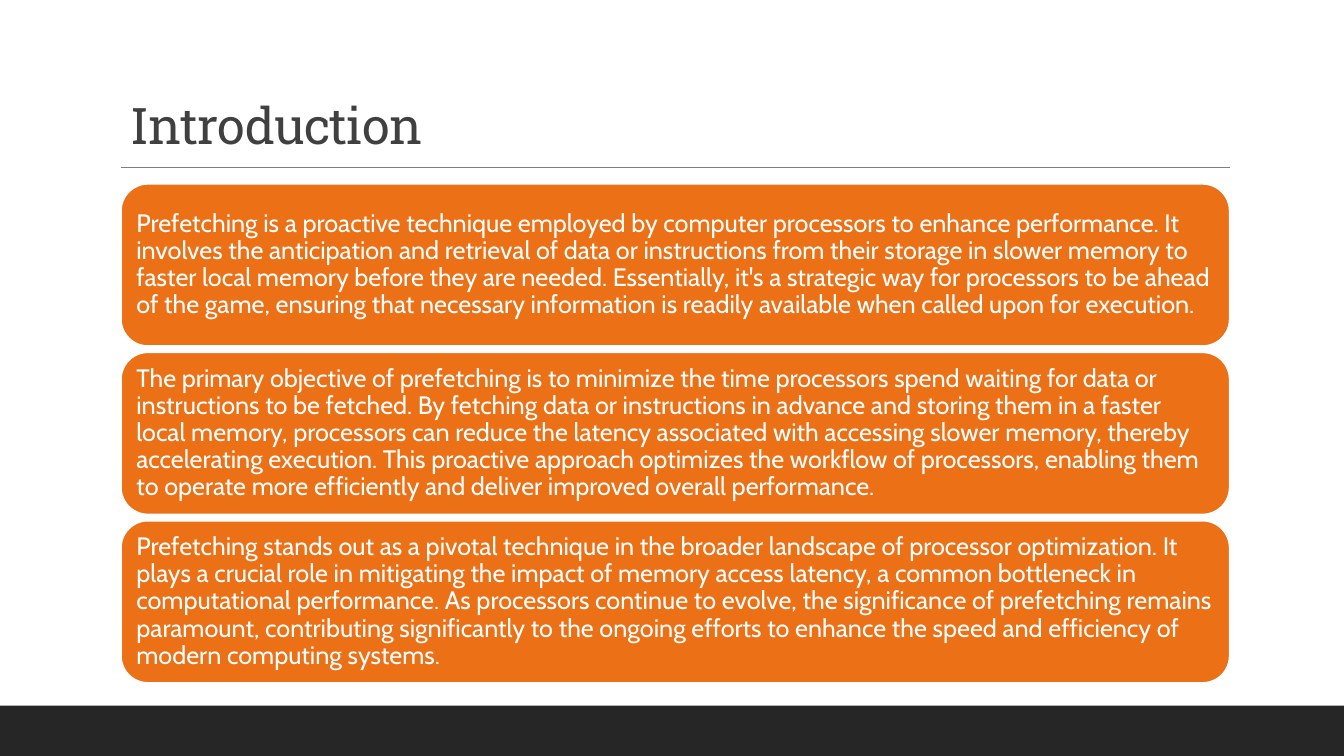
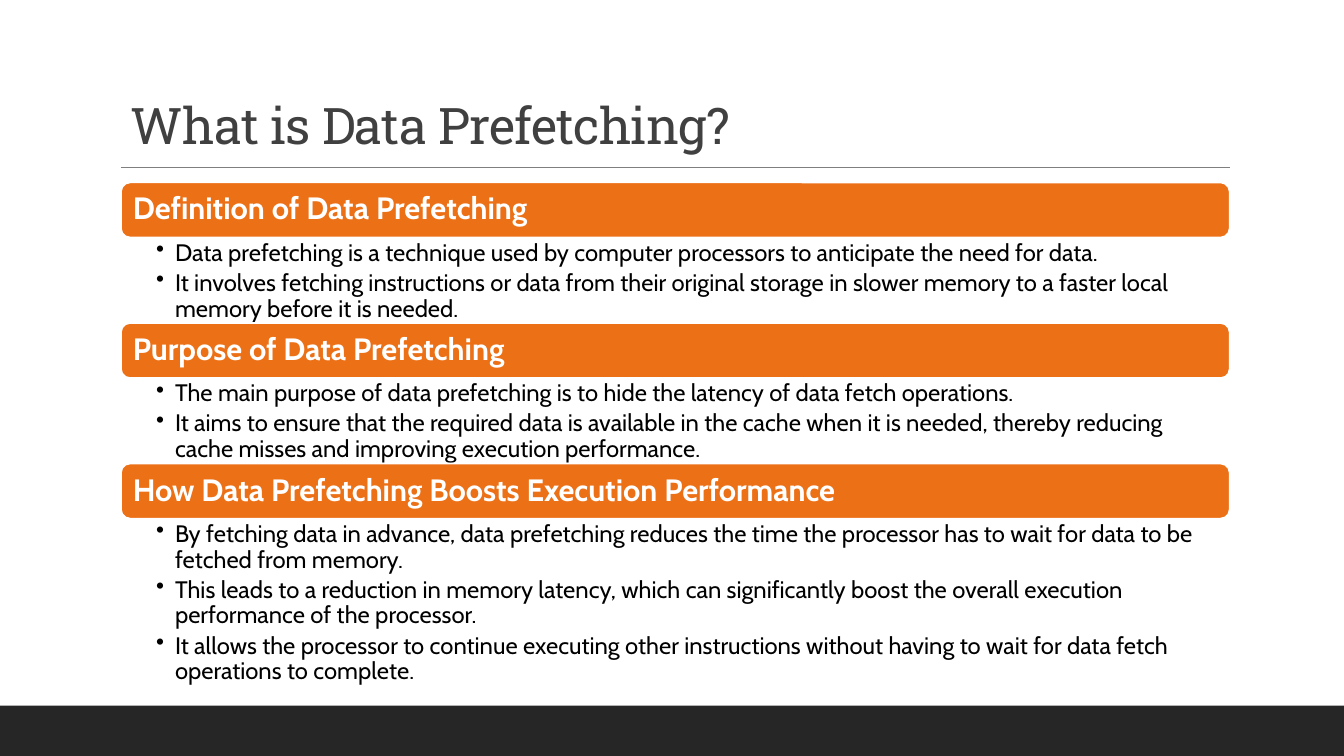
from dataclasses import dataclass

from lxml import etree
from pptx import Presentation
from pptx.dml.color import RGBColor
from pptx.enum.shapes import MSO_CONNECTOR, MSO_SHAPE
from pptx.enum.text import MSO_ANCHOR
from pptx.oxml.ns import qn
from pptx.shapes.autoshape import Shape
from pptx.slide import Slide
from pptx.util import Pt

RECTANGLE = MSO_SHAPE.RECTANGLE
ROUNDED = MSO_SHAPE.ROUNDED_RECTANGLE
STRAIGHT = MSO_CONNECTOR.STRAIGHT
TOP = MSO_ANCHOR.TOP
MIDDLE = MSO_ANCHOR.MIDDLE
BLANK_LAYOUT = 6

SLIDE_WIDTH, SLIDE_HEIGHT = 960, 540
BAND_HEIGHT = 36
LEFT, CONTENT_WIDTH = 86.4, 792
TITLE_TOP, TITLE_HEIGHT = 68.4, 51.12
RULE_TOP = 119.5
CARD_TOP, CARD_HEIGHT, CARD_GAP = 131.3, 115.9, 4.4
SECTION_TOP, HEADING_HEIGHT = 130.3, 39.4
BULLET_INDENT = 13.5


@dataclass(frozen=True)
class Theme:
    accent: RGBColor = RGBColor(0xEC, 0x70, 0x16)
    band: RGBColor = RGBColor(0x26, 0x26, 0x26)
    rule: RGBColor = RGBColor(0x7F, 0x7F, 0x7F)
    title: RGBColor = RGBColor(0x40, 0x40, 0x40)
    body: RGBColor = RGBColor(0x00, 0x00, 0x00)
    white: RGBColor = RGBColor(0xFF, 0xFF, 0xFF)
    title_font: str = "Roboto Slab"
    body_font: str = "Cabin"
    title_size: float = 36
    heading_size: float = 22
    card_size: float = 18
    bullet_size: float = 17


@dataclass(frozen=True)
class Box:
    left: float
    top: float
    width: float
    height: float

    def lengths(self) -> tuple[Pt, Pt, Pt, Pt]:
        return Pt(self.left), Pt(self.top), Pt(self.width), Pt(self.height)


@dataclass(frozen=True)
class Section:
    heading: str
    bullets: tuple[str, ...]
    body_height: float


THEME = Theme()

CARDS = (
    "Prefetching is a proactive technique employed by computer processors to enhance "
    "performance. It involves the anticipation and retrieval of data or instructions from "
    "their storage in slower memory to faster local memory before they are needed. "
    "Essentially, it's a strategic way for processors to be ahead of the game, ensuring that "
    "necessary information is readily available when called upon for execution.",
    "The primary objective of prefetching is to minimize the time processors spend waiting "
    "for data or instructions to be fetched. By fetching data or instructions in advance and "
    "storing them in a faster local memory, processors can reduce the latency associated with "
    "accessing slower memory, thereby accelerating execution. This proactive approach "
    "optimizes the workflow of processors, enabling them to operate more efficiently and "
    "deliver improved overall performance.",
    "Prefetching stands out as a pivotal technique in the broader landscape of processor "
    "optimization. It plays a crucial role in mitigating the impact of memory access latency, "
    "a common bottleneck in computational performance. As processors continue to evolve, the "
    "significance of prefetching remains paramount, contributing significantly to the ongoing "
    "efforts to enhance the speed and efficiency of modern computing systems.",
)

SECTIONS = (
    Section("Definition of Data Prefetching", (
        "Data prefetching is a technique used by computer processors to anticipate the need "
        "for data.",
        "It involves fetching instructions or data from their original storage in slower "
        "memory to a faster local memory before it is needed.",
    ), 61),
    Section("Purpose of Data Prefetching", (
        "The main purpose of data prefetching is to hide the latency of data fetch operations.",
        "It aims to ensure that the required data is available in the cache when it is needed, "
        "thereby reducing cache misses and improving execution performance.",
    ), 61),
    Section("How Data Prefetching Boosts Execution Performance", (
        "By fetching data in advance, data prefetching reduces the time the processor has to "
        "wait for data to be fetched from memory.",
        "This leads to a reduction in memory latency, which can significantly boost the "
        "overall execution performance of the processor.",
        "It allows the processor to continue executing other instructions without having to "
        "wait for data fetch operations to complete.",
    ), 118),
)


def write_text(shape: Shape, *lines: str, size: float, color: RGBColor,
               font: str = THEME.body_font, bold: bool = False,
               anchor: MSO_ANCHOR = MIDDLE,
               insets: tuple[float, float, float, float] = (7.2, 3.6, 7.2, 3.6),
               space_after: float = 0, tracking: float = 0, bullet: str = "") -> None:
    """Fill a shape with one paragraph per line; insets run left, top, right, bottom."""
    frame = shape.text_frame
    frame.word_wrap = True
    frame.vertical_anchor = anchor
    frame.margin_left, frame.margin_top, frame.margin_right, frame.margin_bottom = map(Pt, insets)
    for index, line in enumerate(lines):
        paragraph = frame.add_paragraph() if index else frame.paragraphs[0]
        paragraph.alignment = 1
        paragraph.line_spacing = 0.9
        paragraph.space_after = Pt(space_after)
        run = paragraph.add_run()
        run.text = line
        run.font.name = font
        run.font.size = Pt(size)
        run.font.bold = bold
        run.font.color.rgb = color
        if tracking:
            run.font._element.set("spc", str(round(tracking * 100)))
        if bullet:
            properties = paragraph._p.get_or_add_pPr()
            properties.set("marL", str(Pt(BULLET_INDENT)))
            properties.set("indent", str(-Pt(BULLET_INDENT)))
            etree.SubElement(properties, qn("a:buChar")).set("char", bullet)


def add_panel(slide: Slide, kind: MSO_SHAPE, box: Box, fill: RGBColor,
              outline: RGBColor | None = None) -> Shape:
    panel = slide.shapes.add_shape(kind, *box.lengths())
    panel.shadow.inherit = False
    panel.fill.solid()
    panel.fill.fore_color.rgb = fill
    if outline is None:
        panel.line.fill.background()
    else:
        panel.line.color.rgb = outline
        panel.line.width = Pt(1.25)
    return panel


def add_titled_slide(presentation: Presentation, title: str) -> Slide:
    """Add a slide with the shared footer band, title and rule."""
    slide = presentation.slides.add_slide(presentation.slide_layouts[BLANK_LAYOUT])
    add_panel(slide, RECTANGLE,
              Box(0, SLIDE_HEIGHT - BAND_HEIGHT, SLIDE_WIDTH, BAND_HEIGHT), THEME.band)
    title_box = slide.shapes.add_textbox(
        *Box(LEFT, TITLE_TOP, CONTENT_WIDTH, TITLE_HEIGHT).lengths())
    write_text(title_box, title, size=THEME.title_size, color=THEME.title,
               font=THEME.title_font, anchor=TOP, tracking=-0.5)
    rule = slide.shapes.add_connector(
        STRAIGHT, Pt(LEFT), Pt(RULE_TOP), Pt(LEFT + CONTENT_WIDTH), Pt(RULE_TOP))
    rule.line.color.rgb = THEME.rule
    rule.line.width = Pt(0.75)
    etree.SubElement(rule._element.spPr, qn("a:effectLst"))
    return slide


def add_cards(slide: Slide, cards: tuple[str, ...]) -> None:
    for index, text in enumerate(cards):
        top = CARD_TOP + index * (CARD_HEIGHT + CARD_GAP)
        card = add_panel(slide, ROUNDED, Box(LEFT, top, CONTENT_WIDTH, CARD_HEIGHT),
                         THEME.accent, THEME.white)
        write_text(card, text, size=THEME.card_size, color=THEME.white, insets=(5.4,) * 4)


def add_sections(slide: Slide, sections: tuple[Section, ...]) -> None:
    """Stack the sections, each a heading bar above its bullets."""
    top = SECTION_TOP
    for section in sections:
        heading = add_panel(slide, ROUNDED, Box(LEFT, top, CONTENT_WIDTH, HEADING_HEIGHT),
                            THEME.accent, THEME.white)
        write_text(heading, section.heading, size=THEME.heading_size, color=THEME.white,
                   bold=True, insets=(6.6,) * 4)
        top += HEADING_HEIGHT
        body = slide.shapes.add_textbox(
            *Box(LEFT, top, CONTENT_WIDTH, section.body_height).lengths())
        write_text(body, *section.bullets, size=THEME.bullet_size, color=THEME.body,
                   anchor=TOP, insets=(25.15, 2.2, 12.32, 2.2), space_after=3.2, bullet="•")
        top += section.body_height


def main() -> None:
    presentation = Presentation()
    presentation.slide_width = Pt(SLIDE_WIDTH)
    presentation.slide_height = Pt(SLIDE_HEIGHT)
    add_cards(add_titled_slide(presentation, "Introduction"), CARDS)
    add_sections(add_titled_slide(presentation, "What is Data Prefetching?"), SECTIONS)
    presentation.save("out.pptx")


if __name__ == "__main__":
    main()
